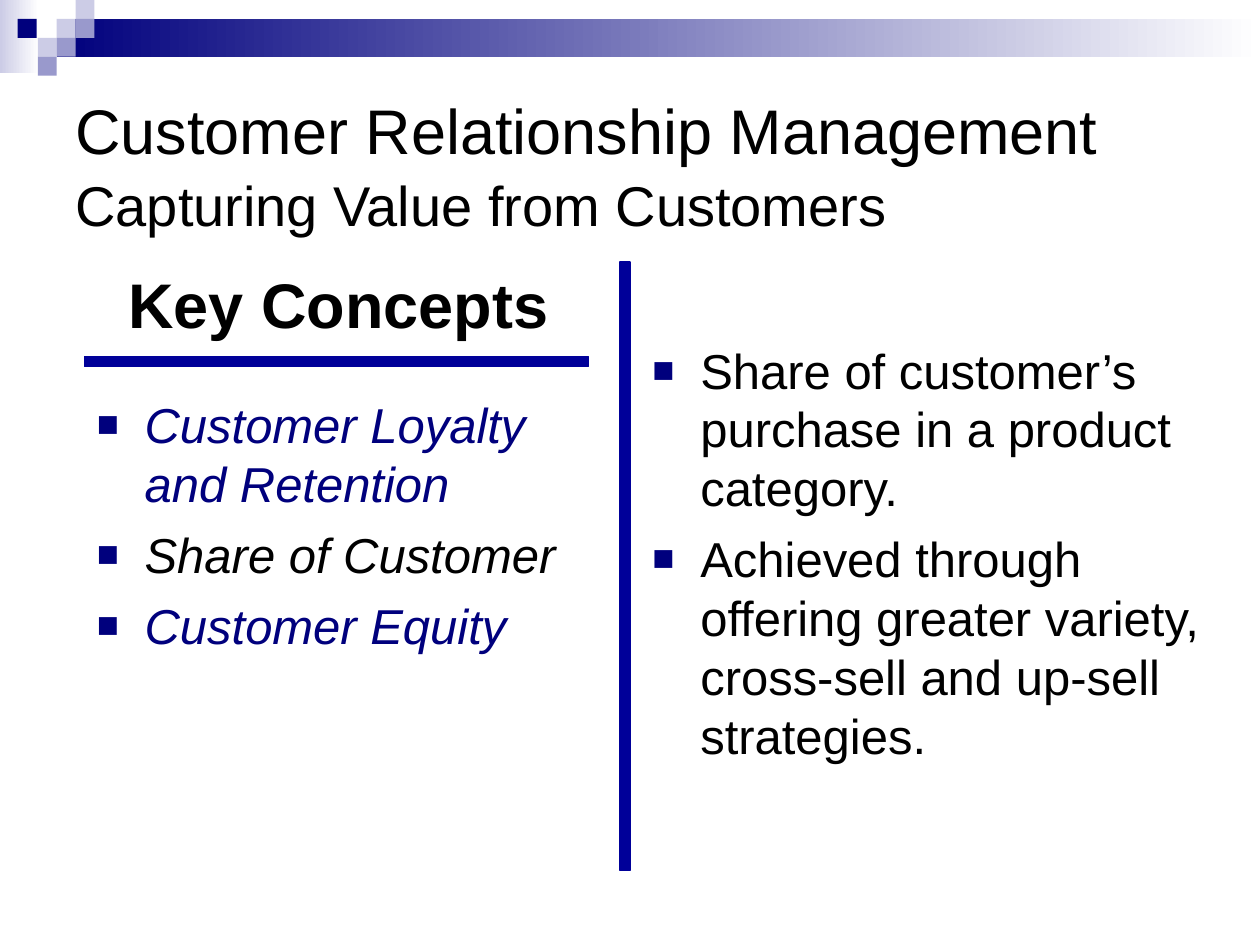
"""Build the Customer Relationship Management key concepts slide."""
from lxml import etree
from pptx import Presentation
from pptx.dml.color import RGBColor
from pptx.enum import shapes, text
from pptx.oxml import ns
from pptx.util import Inches, Pt

BLACK = RGBColor(0x00, 0x00, 0x00)
WHITE = RGBColor(0xFF, 0xFF, 0xFF)
NAVY = RGBColor(0x00, 0x00, 0x7D)
RULE = RGBColor(0x00, 0x00, 0x99)
LILAC = RGBColor(0xCC, 0xCC, 0xE6)
VIOLET = RGBColor(0x99, 0x99, 0xCC)

BANDS = [((0, 0, 0.31, 0.58), LILAC), ((0.45, 0.15, 9.55, 0.3), NAVY)]
TILE = 0.15
TILES = [(0.45, 0.15, LILAC), (0.6, 0, LILAC), (0.6, 0.15, VIOLET),
         (0.3, 0.3, LILAC), (0.14, 0.15, NAVY), (0.45, 0.3, VIOLET),
         (0.3, 0.45, VIOLET)]
RULES = [(4.92, 2.08, 0.08, 4.83), (0.67, 2.83, 4, 0.08)]

TITLE = [("Customer Relationship Management", 36), (" ", 44),
         ("Capturing Value from Customers", 32)]
HEADING = "Key Concepts"
CONCEPTS = [("Customer Loyalty and Retention", NAVY),
            ("Share of Customer", BLACK),
            ("Customer Equity", NAVY)]
DETAILS = [("Share of customer’s purchase in a product category.", BLACK),
           ("Achieved through offering greater variety, cross-sell and "
            "up-sell strategies.", BLACK)]


def add_rect(s, box):
    sp = s.shapes.add_shape(shapes.MSO_SHAPE.RECTANGLE, *map(Inches, box))
    sp.shadow.inherit = False
    sp.line.fill.background()
    return sp


def add_solid(s, box, color):
    sp = add_rect(s, box)
    sp.fill.solid()
    sp.fill.fore_color.rgb = color
    return sp


def add_band(s, box, color):
    fill = add_rect(s, box).fill
    fill.gradient()
    fill.gradient_angle = 0
    for stop, rgb, pos in zip(fill.gradient_stops, (color, WHITE), (0, 1)):
        stop.color.rgb = rgb
        stop.position = pos


def add_box(s, box):
    tf = s.shapes.add_textbox(*map(Inches, box)).text_frame
    tf.word_wrap = True
    return tf


def add_run(p, words, size, color, bold=False, italic=False):
    r = p.add_run()
    r.text = words
    r.font.name = "Arial"
    r.font.size = Pt(size)
    r.font.color.rgb = color
    r.font.bold = bold
    r.font.italic = italic


def set_bullet(p):
    pPr = p._p.get_or_add_pPr()
    pPr.set("marL", str(Inches(0.38)))
    pPr.set("indent", str(-Inches(0.38)))
    color = etree.SubElement(pPr, ns.qn("a:buClr"))
    etree.SubElement(color, ns.qn("a:srgbClr"), val=str(NAVY))
    etree.SubElement(pPr, ns.qn("a:buSzPct"), val="75000")
    etree.SubElement(pPr, ns.qn("a:buFont"), typeface="Arial")
    etree.SubElement(pPr, ns.qn("a:buChar"), char="■")


def add_list(s, box, items, italic=False):
    tf = add_box(s, box)
    for i, (words, color) in enumerate(items):
        p = tf.add_paragraph() if i else tf.paragraphs[0]
        set_bullet(p)
        if i:
            p.space_before = Pt(7)
        add_run(p, words, 28, color, italic=italic)


def main():
    prs = Presentation()
    prs.slide_width, prs.slide_height = Inches(10), Inches(7.5)
    s = prs.slides.add_slide(prs.slide_layouts[6])

    for box, color in BANDS:
        add_band(s, box, color)
    for x, y, color in TILES:
        add_solid(s, (x, y, TILE, TILE), color)

    tf = add_box(s, (0.5, 0.5, 9, 1.5))
    tf.vertical_anchor = text.MSO_ANCHOR.MIDDLE
    for words, size in TITLE:
        add_run(tf.paragraphs[0], words, size, BLACK)

    add_list(s, (0.67, 3.08, 3.86, 3.67), CONCEPTS, italic=True)
    add_list(s, (5.08, 2.65, 4.55, 4.02), DETAILS)

    p = add_box(s, (0.92, 2.13, 3.6, 0.64)).paragraphs[0]
    p.line_spacing = 0.9
    add_run(p, HEADING, 36, BLACK, bold=True)

    for box in RULES:
        sp = add_solid(s, box, RULE)
        sp.line.color.rgb = RULE
        sp.line.width = Pt(0.75)

    prs.save("out.pptx")


if __name__ == "__main__":
    main()
